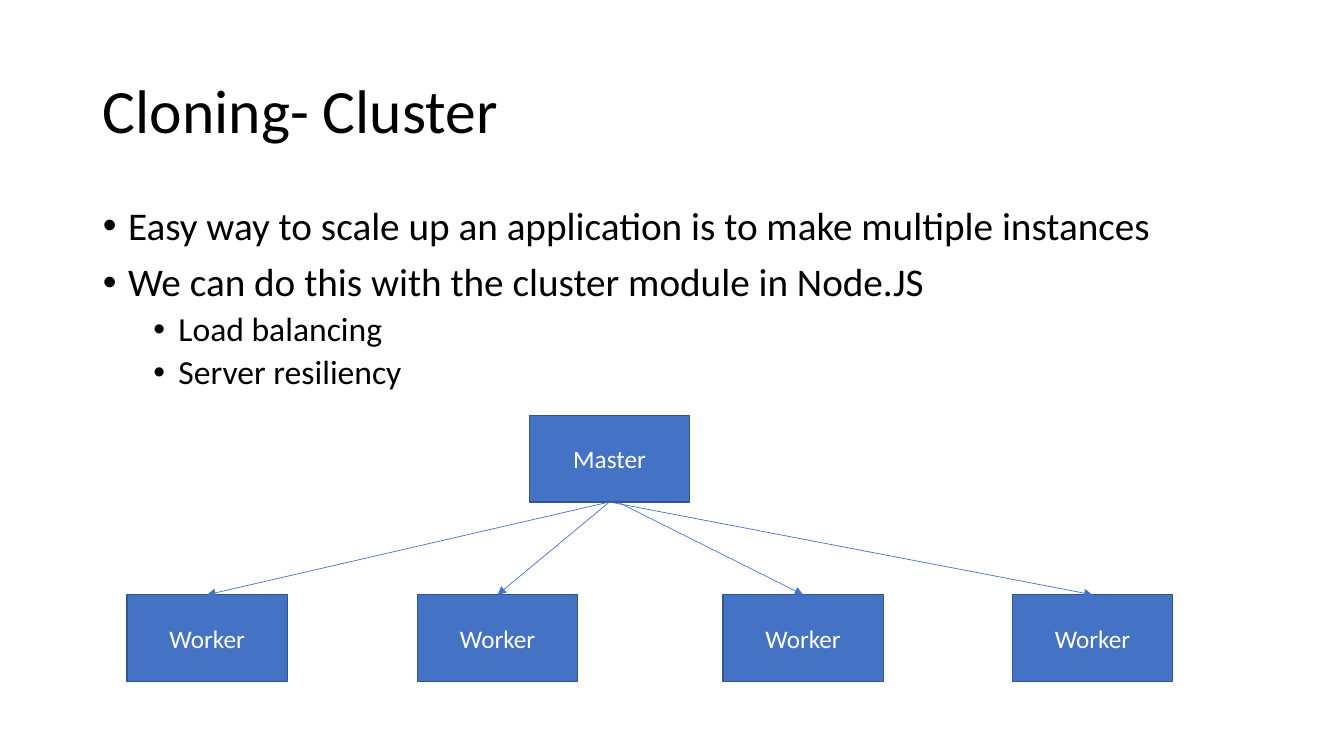
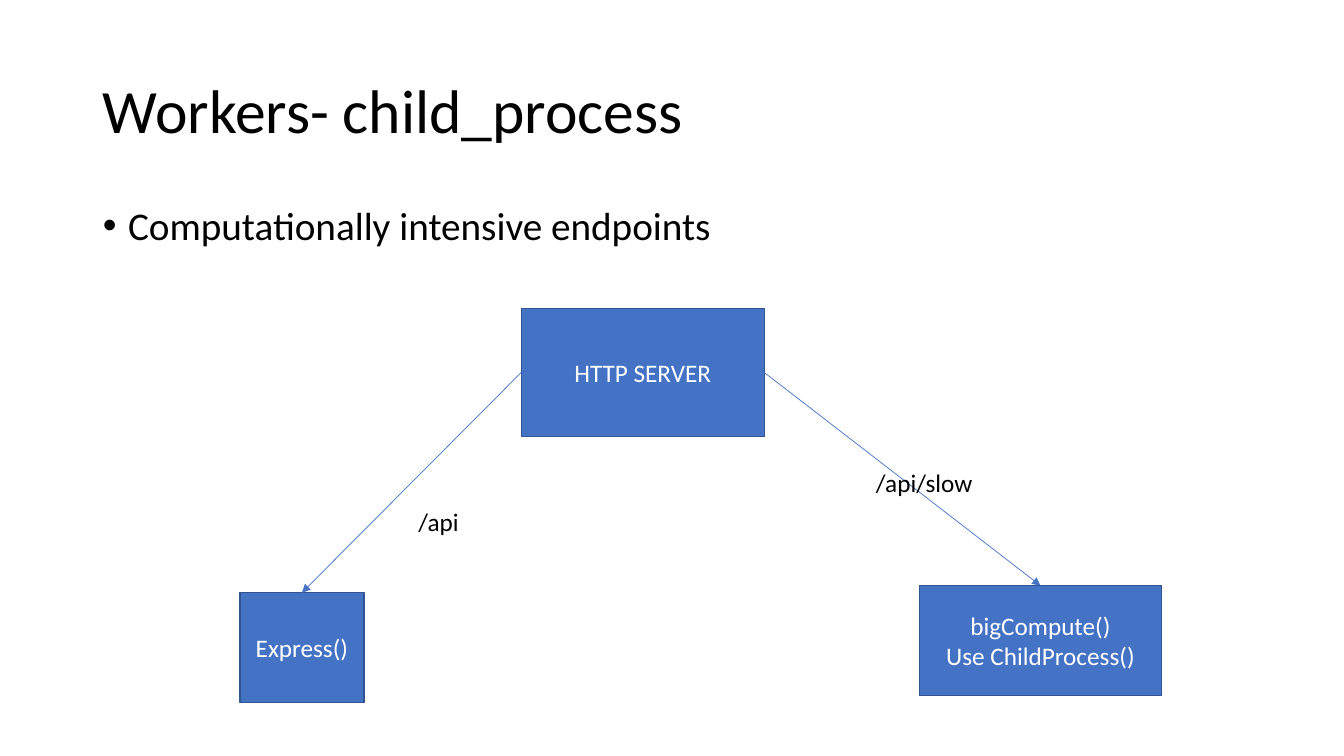
from pptx import Presentation
from pptx import util as u
from pptx.dml.color import RGBColor
from pptx.enum import shapes, text
from pptx.oxml.ns import qn
from lxml import etree

EMU_PER_PX = 9144
FONT, BLACK, WHITE, BLUE, EDGE = "Calibri", "000000", "FFFFFF", "4472C4", "325491"
TITLE_BOX = (92, 40, 1150, 145)
BODY_BOX = (92, 200, 1150, 476)
LEVELS = [
    {"size": 28, "before": 10, "indent": 25},
    {"size": 24, "before": 5, "indent": 75},
]
HANGING = 25
TOP, LEFT, BOTTOM, RIGHT = range(4)


def px(n):
    """Turn px into EMU."""
    return u.Emu(n * EMU_PER_PX)


def color(value):
    """Turn a hex string into a colour."""
    return RGBColor.from_string(value)


def apply(obj, fmt):
    """Set each attribute named in a dict of format values."""
    for name, value in fmt.items():
        setattr(obj, name, value)


def place(sp, box):
    """Move and size a shape to a box in px."""
    apply(sp, dict(zip(("left", "top", "width", "height"), map(px, box))))


def write(p, content, size, fill, **fmt):
    """Write one formatted run into a paragraph."""
    apply(p, fmt)
    r = p.add_run()
    r.text = content
    apply(r.font, {"name": FONT, "size": u.Pt(size)})
    r.font.color.rgb = color(fill)


def fill_title(s, content):
    """Place and fill the title placeholder."""
    sp = s.shapes.title
    place(sp, TITLE_BOX)
    tf = sp.text_frame
    apply(tf, {"auto_size": text.MSO_AUTO_SIZE.NONE,
               "vertical_anchor": text.MSO_ANCHOR.MIDDLE})
    write(tf.paragraphs[0], content, 44, BLACK,
          alignment=text.PP_ALIGN.LEFT, line_spacing=0.9, space_before=u.Pt(0))


def fill_body(s, items):
    """Fill the body placeholder with (level, content) bullets."""
    sp = s.placeholders[1]
    place(sp, BODY_BOX)
    tf = sp.text_frame
    tf.auto_size = text.MSO_AUTO_SIZE.NONE
    for i, (level, content) in enumerate(items):
        p = tf.add_paragraph() if i else tf.paragraphs[0]
        style = LEVELS[level]
        write(p, content, style["size"], BLACK, level=level,
              line_spacing=0.9, space_before=u.Pt(style["before"]))
        pPr = p._p.get_or_add_pPr()
        pPr.set("marL", str(px(style["indent"])))
        pPr.set("indent", str(px(-HANGING)))
        etree.SubElement(pPr, qn("a:buFont")).set("typeface", "Arial")
        etree.SubElement(pPr, qn("a:buChar")).set("char", "•")


def add_box(s, box, *lines):
    """Add a blue box with centred lines of text."""
    sp = s.shapes.add_shape(shapes.MSO_SHAPE.RECTANGLE, *map(px, box))
    sp.shadow.inherit = False
    sp.fill.solid()
    sp.fill.fore_color.rgb = color(BLUE)
    sp.line.color.rgb = color(EDGE)
    sp.line.width = u.Pt(1)
    tf = sp.text_frame
    apply(tf, {"word_wrap": True, "vertical_anchor": text.MSO_ANCHOR.MIDDLE})
    for i, content in enumerate(lines):
        p = tf.add_paragraph() if i else tf.paragraphs[0]
        write(p, content, 18, WHITE, alignment=text.PP_ALIGN.CENTER)
    return sp


def add_label(s, box, content):
    """Add a text label that does not wrap."""
    tf = s.shapes.add_textbox(*map(px, box)).text_frame
    apply(tf, {"word_wrap": False, "auto_size": text.MSO_AUTO_SIZE.SHAPE_TO_FIT_TEXT})
    write(tf.paragraphs[0], content, 18, BLACK)


def add_arrow(s, source, site, target, shift=0):
    """Add an arrow from a side of one box to the top of another."""
    start_x = source.left + source.width // 2 + px(shift)
    start_y = source.top + source.height
    c = s.shapes.add_connector(shapes.MSO_CONNECTOR.STRAIGHT, start_x, start_y,
                               target.left, target.top)
    if not shift:
        c.begin_connect(source, site)
    c.end_connect(target, TOP)
    c.line.color.rgb = color(BLUE)
    c.line.width = u.Pt(0.5)
    etree.SubElement(c.line._get_or_add_ln(), qn("a:tailEnd")).set("type", "triangle")
    etree.SubElement(c._element.spPr, qn("a:effectLst"))


def add_slide(prs, title, items):
    """Add a slide with a title and a bulleted list."""
    s = prs.slides.add_slide(prs.slide_layouts[1])
    fill_title(s, title)
    fill_body(s, items)
    return s


def cluster_slide(prs):
    """Build the slide on cloning with a cluster."""
    s = add_slide(prs, "Cloning- Cluster", [
        (0, "Easy way to scale up an application is to make multiple instances"),
        (0, "We can do this with the cluster module in Node.JS"),
        (1, "Load balancing"),
        (1, "Server resiliency"),
    ])
    width, height = 159, 86
    master = add_box(s, (525, 412, width, height), "Master")
    workers = [add_box(s, (left, 590, width, height), "Worker")
               for left in (126, 414, 717, 1004)]
    for worker, shift in zip(workers, (0, 0, 8, 0)):
        add_arrow(s, master, BOTTOM, worker, shift)


def child_process_slide(prs):
    """Build the slide on workers in child processes."""
    s = add_slide(prs, "Workers- child_process",
                  [(0, "Computationally intensive endpoints")])
    server = add_box(s, (517, 306, 241, 127), "HTTP SERVER")
    express = add_box(s, (238, 588, 123, 109), "Express()")
    compute = add_box(s, (912, 581, 240, 109), "bigCompute()", "Use ChildProcess()")
    add_arrow(s, server, LEFT, express)
    add_label(s, (405, 497, 61, 40), "/api")
    add_arrow(s, server, RIGHT, compute)
    add_label(s, (859, 459, 117, 40), "/api/slow")


def main():
    """Build and save the presentation."""
    prs = Presentation()
    apply(prs, {"slide_width": px(1333), "slide_height": px(750)})
    cluster_slide(prs)
    child_process_slide(prs)
    prs.save("out.pptx")


if __name__ == "__main__":
    main()
